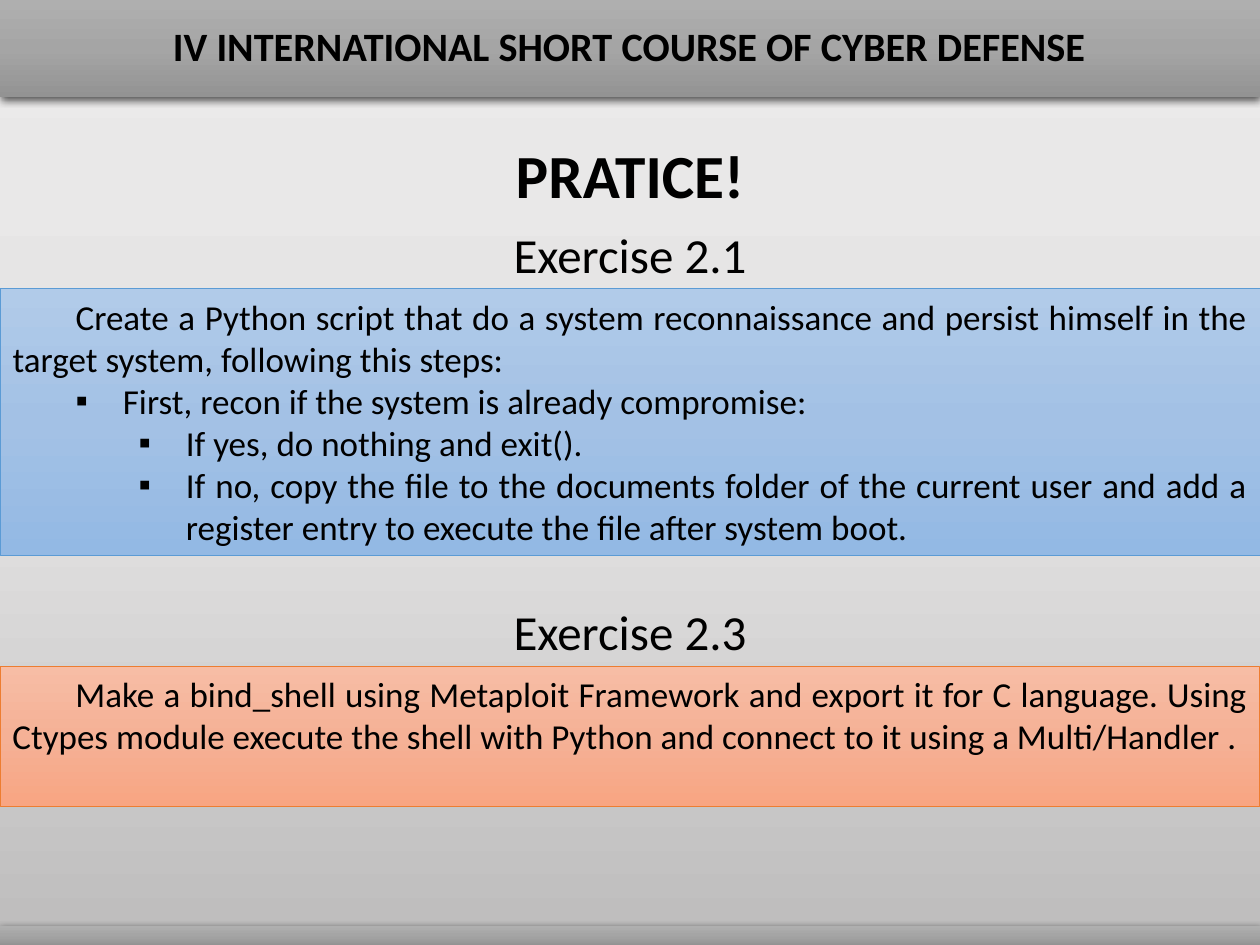
from copy import deepcopy
from lxml.etree import SubElement as Sub
from pptx import Presentation
from pptx.dml.color import RGBColor as RGB
from pptx.enum.shapes import MSO_SHAPE as Shape
from pptx.enum.text import MSO_ANCHOR as Anchor, MSO_AUTO_SIZE as Auto, PP_ALIGN as Align
from pptx.oxml.ns import qn
from pptx.util import Pt

WIDE, HIGH = 720, 540
BLACK = RGB(0, 0, 0)
BLUE = RGB(0x5B, 0x9B, 0xD5)
ORANGE = RGB(0xED, 0x7D, 0x31)
PAGE = RGB(0xEB, 0xEA, 0xEA), RGB(0xE4, 0xE3, 0xE3), RGB(0xBD, 0xBC, 0xBC)
GRAYS = RGB(0xAF, 0xAF, 0xAF), RGB(0xA5, 0xA5, 0xA5), RGB(0x93, 0x93, 0x93)
BLUES = RGB(0xB1, 0xCB, 0xE9), RGB(0xA3, 0xC1, 0xE5), RGB(0x93, 0xB9, 0xE4)
PEACH = RGB(0xF7, 0xBD, 0xA5), RGB(0xF5, 0xB1, 0x96), RGB(0xF8, 0xA5, 0x82)

HEAD = {"size": Pt(23), "bold": True}
TITLE = {"size": Pt(35), "bold": True}
LABEL = {"size": Pt(28), "bold": False}
BODY = {"size": Pt(20), "bold": False}

TASK = [
    (0, "Create a Python script that do a system reconnaissance and persist "
        "himself in the target system, following this steps:"),
    (1, "First, recon if the system is already compromise:"),
    (2, "If yes, do nothing and exit()."),
    (2, "If no, copy the file to the documents folder of the current user and "
        "add a register entry to execute the file after system boot."),
]
SHELL = [
    (0, "Make a bind_shell using Metaploit Framework and export it for C language. "
        "Using Ctypes module execute the shell with Python and connect to it "
        "using a Multi/Handler ."),
]


def shade(fill, root, tones):
    """Fill with a three-stop gradient that runs downwards."""
    fill.gradient()
    fill.gradient_angle = 270
    stops = next(root.iter(qn("a:gsLst")))
    stops.insert(1, deepcopy(stops[0]))
    for stop, tone, place in zip(fill.gradient_stops, tones, (0, 0.5, 1)):
        stop.color.rgb = tone
        stop.position = place


def place(item, top, high):
    """Span the slide's width at a given height."""
    spot = {"left": 0, "top": Pt(top), "width": Pt(WIDE), "height": Pt(high)}
    for name, value in spot.items():
        setattr(item, name, value)


def block(slide, top, high):
    """Add a full-width rectangle without shadow."""
    item = slide.shapes.add_shape(Shape.RECTANGLE, 0, Pt(top), Pt(WIDE), Pt(high))
    item.shadow.inherit = False
    return item


def bar(slide, top, high):
    """Add a gray bar with a soft shadow below it."""
    item = block(slide, top, high)
    shade(item.fill, item.element, GRAYS)
    item.line.fill.background()
    glow = Sub(item.element.spPr.find(qn("a:effectLst")), qn("a:outerShdw"),
               blurRad=str(Pt(4.5)), dist=str(Pt(1.5)), dir="5400000",
               algn="ctr", rotWithShape="0")
    tint = Sub(glow, qn("a:srgbClr"), val=str(BLACK))
    Sub(tint, qn("a:alpha"), val="63000")
    return item


def frame(item, anchor=Anchor.TOP):
    """Make the text frame wrap at a fixed size."""
    look = {"word_wrap": True, "auto_size": Auto.NONE, "vertical_anchor": anchor}
    for name, value in look.items():
        setattr(item.text_frame, name, value)
    return item.text_frame


def write(para, text, look, align=Align.CENTER, space=1.0):
    """Write one run with its format."""
    form = {"alignment": align, "line_spacing": space,
            "space_before": Pt(0), "space_after": Pt(0)}
    for name, value in form.items():
        setattr(para, name, value)
    run = para.add_run()
    run.text = text
    run.font.color.rgb = BLACK
    for name, value in {"name": "Calibri", **look}.items():
        setattr(run.font, name, value)


def indent(para, level):
    """Set first-line indent, or a square bullet on lower levels."""
    para.level = level
    props = para._p.get_or_add_pPr()
    left, first = (36 * level + 27, -27) if level else (0, 36)
    props.set("marL", str(Pt(left)))
    props.set("indent", str(Pt(first)))
    if level:
        Sub(props, qn("a:buFont"), typeface="Arial")
        Sub(props, qn("a:buChar"), char="▪")
    else:
        Sub(props, qn("a:buNone"))


def panel(item, tones, edge, rows):
    """Fill a box with color and justified rows."""
    shade(item.fill, item.element, tones)
    item.line.color.rgb = edge
    item.line.width = Pt(0.5)
    text = frame(item)
    for i, (level, words) in enumerate(rows):
        para = text.add_paragraph() if i else text.paragraphs[0]
        indent(para, level)
        write(para, words, BODY, Align.JUSTIFY)


def label(slide, top, words):
    """Add a centered exercise heading."""
    item = slide.shapes.add_textbox(0, Pt(top), Pt(WIDE), Pt(41))
    write(frame(item).paragraphs[0], words, LABEL)


def main():
    """Build the practice slide."""
    deck = Presentation()
    deck.slide_width, deck.slide_height = Pt(WIDE), Pt(HIGH)
    slide = deck.slides.add_slide(deck.slide_layouts[1])
    shade(slide.background.fill, slide.element, PAGE)

    head = bar(slide, 0, 55.5)
    write(frame(head, Anchor.MIDDLE).paragraphs[0],
          "IV INTERNATIONAL SHORT COURSE OF CYBER DEFENSE", HEAD, space=0.9)
    bar(slide, 529, 11)

    title, body = slide.placeholders
    place(title, 75, 50)
    write(frame(title).paragraphs[0], "PRATICE!", TITLE)

    label(slide, 124.5, "Exercise 2.1")
    place(body, 165, 152.5)
    panel(body, BLUES, BLUE, TASK)

    label(slide, 340, "Exercise 2.3")
    panel(block(slide, 381, 80), PEACH, ORANGE, SHELL)
    deck.save("out.pptx")


if __name__ == "__main__":
    main()
